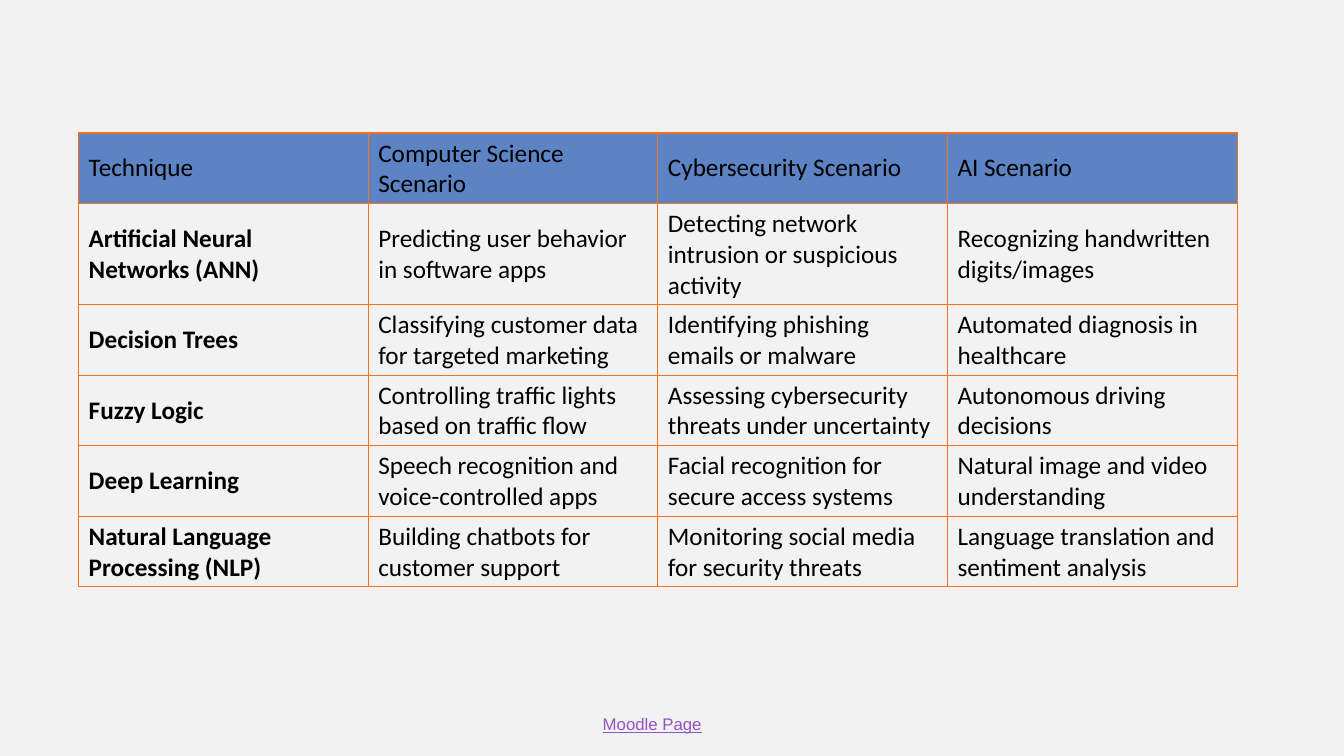
from dataclasses import dataclass

from lxml import etree
from pptx import Presentation
from pptx.dml.color import RGBColor
from pptx.enum.text import MSO_ANCHOR, MSO_AUTO_SIZE
from pptx.oxml.ns import qn
from pptx.util import Inches, Pt

MIDDLE = MSO_ANCHOR.MIDDLE
GROW = MSO_AUTO_SIZE.SHAPE_TO_FIT_TEXT


@dataclass(frozen=True)
class Theme:
    """Colours, fonts and sizes of the slide."""
    background: str = "F2F2F2"
    header: str = "5C83C4"
    border: str = "FA6F1A"
    text: str = "000000"
    link: str = "9454C3"
    table_font: str = "Calibri"
    footer_font: str = "Arial"
    table_size: int = 18
    footer_size: int = 12
    border_width: int = 1


THEME = Theme()
ROWS = [
    ("Technique", "Computer Science Scenario", "Cybersecurity Scenario", "AI Scenario"),
    ("Artificial Neural Networks (ANN)", "Predicting user behavior in software apps",
     "Detecting network intrusion or suspicious activity",
     "Recognizing handwritten digits/images"),
    ("Decision Trees", "Classifying customer data for targeted marketing",
     "Identifying phishing emails or malware", "Automated diagnosis in healthcare"),
    ("Fuzzy Logic", "Controlling traffic lights based on traffic flow",
     "Assessing cybersecurity threats under uncertainty", "Autonomous driving decisions"),
    ("Deep Learning", "Speech recognition and voice-controlled apps",
     "Facial recognition for secure access systems",
     "Natural image and video understanding"),
    ("Natural Language Processing (NLP)", "Building chatbots for customer support",
     "Monitoring social media for security threats",
     "Language translation and sentiment analysis"),
]
ROW_HEIGHTS = [0.7, 1.0] + [0.7] * 4


def write(tf, text, color, **formats):
    """Write one formatted run into a text frame."""
    r = tf.paragraphs[0].add_run()
    r.text = text
    r.font.color.rgb = RGBColor.from_string(color)
    for name, value in formats.items():
        setattr(r.font, name, value)


def add_borders(cell):
    """Draw a solid line on every side of a cell."""
    tc_pr = cell._tc.get_or_add_tcPr()
    for side in ("a:lnL", "a:lnR", "a:lnT", "a:lnB"):
        ln = etree.SubElement(tc_pr, qn(side), w=str(Pt(THEME.border_width)))
        fill = etree.SubElement(ln, qn("a:solidFill"))
        etree.SubElement(fill, qn("a:srgbClr"), val=THEME.border)


def add_scenarios(s, left, top, width):
    """Place the table of techniques and scenarios."""
    columns = len(ROWS[0])
    table = s.shapes.add_table(len(ROWS), columns, Inches(left), Inches(top),
                               Inches(width), Inches(sum(ROW_HEIGHTS))).table
    table.horz_banding = False
    for column in table.columns:
        column.width = Inches(width / columns)
    for i, (row, height) in enumerate(zip(ROWS, ROW_HEIGHTS)):
        table.rows[i].height = Inches(height)
        for j, text in enumerate(row):
            cell = table.cell(i, j)
            cell.vertical_anchor = MIDDLE
            add_borders(cell)
            if i == 0:
                cell.fill.solid()
                cell.fill.fore_color.rgb = RGBColor.from_string(THEME.header)
            else:
                cell.fill.background()
            write(cell.text_frame, text, THEME.text, name=THEME.table_font,
                  size=Pt(THEME.table_size), bold=i > 0 and j == 0)


def add_footer(s, left, top, width, height):
    """Place the underlined page label at the foot."""
    sp = s.shapes.add_textbox(Inches(left), Inches(top), Inches(width), Inches(height))
    tf = sp.text_frame
    tf.word_wrap = True
    tf.auto_size = GROW
    write(tf, "Moodle Page", THEME.link, name=THEME.footer_font,
          size=Pt(THEME.footer_size), underline=True)


def main():
    """Build and save the slide."""
    prs = Presentation()
    prs.slide_width, prs.slide_height = Inches(13.33), Inches(7.5)
    s = prs.slides.add_slide(prs.slide_layouts[6])
    s.background.fill.solid()
    s.background.fill.fore_color.rgb = RGBColor.from_string(THEME.background)
    add_footer(s, 5.88, 7.03, 2.5, 0.3)
    add_scenarios(s, 0.78, 1.32, 11.49)
    prs.save("out.pptx")


if __name__ == "__main__":
    main()
